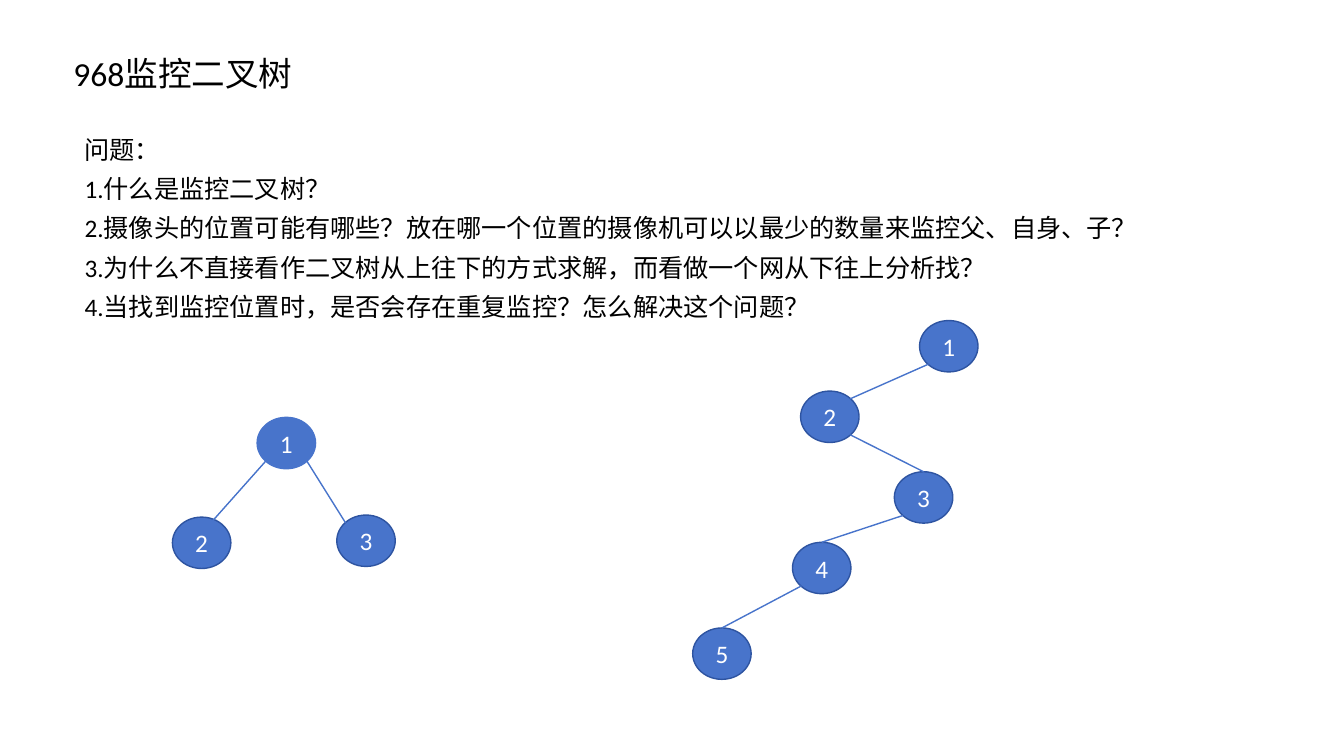
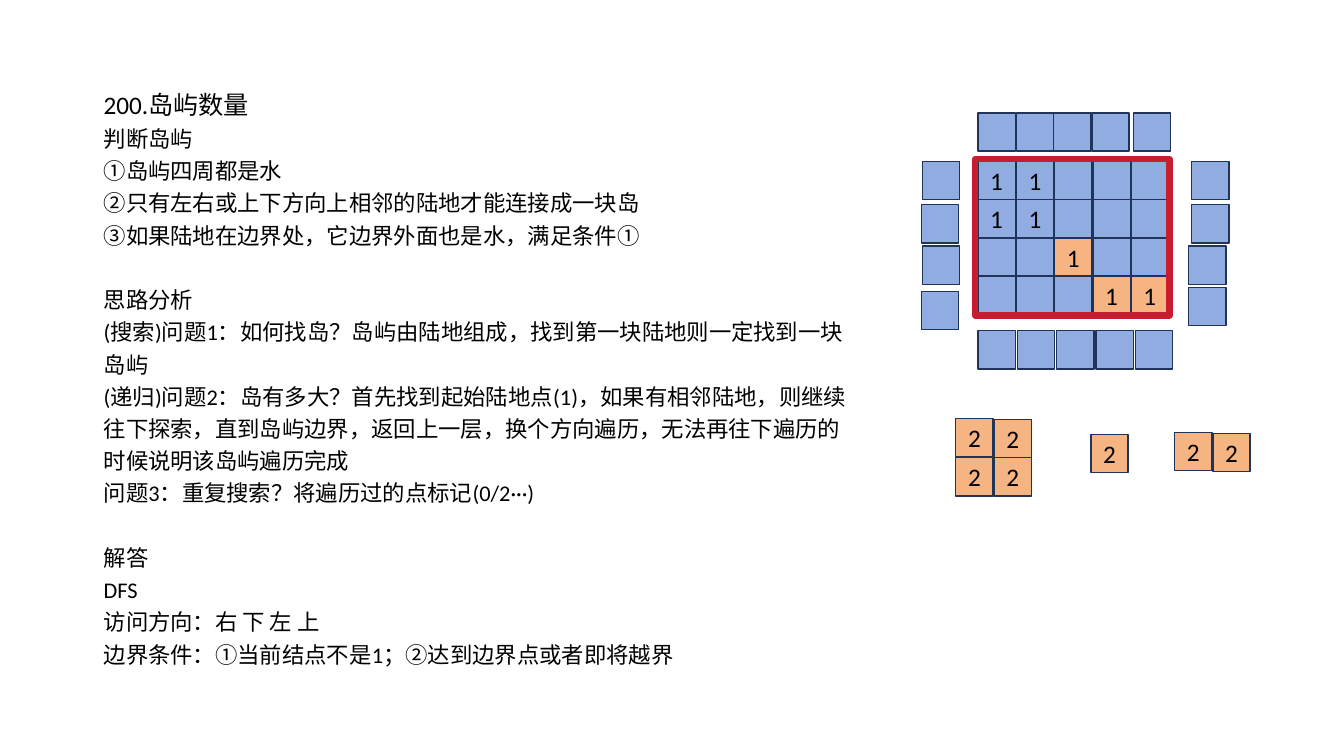
from pptx import Presentation
from pptx.dml.color import RGBColor
from pptx.enum.lang import MSO_LANGUAGE_ID as Language
from pptx.enum.shapes import MSO_CONNECTOR as Connector, MSO_SHAPE as Shape
from pptx.enum.text import MSO_ANCHOR as Anchor, MSO_AUTO_SIZE as AutoSize, PP_ALIGN as Align
from pptx.oxml.ns import qn
from pptx.util import Inches, Pt

BLACK, WHITE = "000000", "FFFFFF"
NODE_FILL, NODE_LINE = "4874CB", "2E54A1"
WATER, LAND, CELL_LINE, FRAME = "91ACE0", "F5B482", "203359", "C81D31"

NODE_WIDTH, NODE_HEIGHT = 0.58, 0.51
CELL_WIDTH, CELL_HEIGHT = 0.37, 0.38

# Anchor points as fractions of a node's box
TOP, TOP_LEFT, TOP_RIGHT = (0.5, 0), (0.15, 0.15), (0.85, 0.15)
BOTTOM_LEFT, BOTTOM_RIGHT = (0.15, 0.85), (0.85, 0.85)
INNER_TOP = (0.55, 0.25)

QUESTIONS = [
    "问题：",
    "1.什么是监控二叉树？",
    "2.摄像头的位置可能有哪些？放在哪一个位置的摄像机可以以最少的数量来监控父、自身、子？",
    "3.为什么不直接看作二叉树从上往下的方式求解，而看做一个网从下往上分析找？",
    "4.当找到监控位置时，是否会存在重复监控？怎么解决这个问题？",
]
ISLAND_NOTES = [
    [
        "200.岛屿数量",
        "判断岛屿",
        "①岛屿四周都是水",
        "②只有左右或上下方向上相邻的陆地才能连接成一块岛",
        "③如果陆地在边界处，它边界外面也是水，满足条件①",
    ],
    [
        "思路分析",
        "(搜索)问题1：如何找岛？岛屿由陆地组成，找到第一块陆地则一定找到一块岛屿",
        "(递归)问题2：岛有多大？首先找到起始陆地点(1)，如果有相邻陆地，则继续往下探索，"
        "直到岛屿边界，返回上一层，换个方向遍历，无法再往下遍历的时候说明该岛屿遍历完成",
        "问题3：重复搜索？将遍历过的点标记(0/2···)",
    ],
    [
        "解答",
        "DFS",
        "访问方向：右 下 左 上",
        "边界条件：①当前结点不是1；②达到边界点或者即将越界",
    ],
]

# Tree nodes: label -> left, top; edges: parent, anchor, child, anchor
SMALL_TREE = {"1": (2.55, 4.14), "2": (1.71, 5.13), "3": (3.34, 5.11)}
SMALL_EDGES = [("1", BOTTOM_LEFT, "2", INNER_TOP), ("1", BOTTOM_RIGHT, "3", TOP_LEFT)]
TALL_TREE = {"1": (9.12, 3.18), "2": (7.94, 3.88), "3": (8.87, 4.68),
             "4": (7.86, 5.38), "5": (6.87, 6.23)}
TALL_EDGES = [("1", BOTTOM_LEFT, "2", TOP_RIGHT), ("2", BOTTOM_RIGHT, "3", TOP),
              ("3", BOTTOM_LEFT, "4", TOP), ("4", BOTTOM_LEFT, "5", TOP)]

GRID_LEFT, GRID_TOP, COLUMN_STEP, ROW_STEP = 9.7, 1.6, 0.38, 0.38
GRID_LABELS = ["11   ", "11   ", "  1  ", "   11"]
LAND_CELLS = {(2, 2), (3, 3), (3, 4)}
BORDER_WATER = (
    [(left, 1.12) for left in (9.7, 10.08, 10.45, 10.83, 11.24)]
    + [(9.7 + 0.39 * column, 3.28) for column in range(5)]
    + [(9.15, 1.6), (9.14, 2.03), (9.15, 2.44), (9.14, 2.89)]
    + [(11.82, 1.6), (11.82, 2.03), (11.79, 2.44), (11.79, 2.85)]
)
VISITED_LAND = [(9.48, 4.15), (9.86, 4.16), (9.48, 4.54), (9.86, 4.54),
                (10.82, 4.31), (11.65, 4.29), (12.03, 4.3)]


def color(value):
    return RGBColor.from_string(value)


def write(paragraph, text, size, text_color, **layout):
    run = paragraph.add_run()
    run.text = text
    font_format = {"name": "Calibri", "size": Pt(size),
                   "language_id": Language.SIMPLIFIED_CHINESE}
    for name, value in font_format.items():
        setattr(run.font, name, value)
    run.font.color.rgb = color(text_color)
    for name, value in layout.items():
        setattr(paragraph, name, value)


def add_text(slide, box, lines):
    """Add a text box; each line is a text, a size and its paragraph layout."""
    frame = slide.shapes.add_textbox(*map(Inches, box)).text_frame
    frame.word_wrap = True
    frame.auto_size = AutoSize.SHAPE_TO_FIT_TEXT
    for index, (text, size, layout) in enumerate(lines):
        paragraph = frame.add_paragraph() if index else frame.paragraphs[0]
        write(paragraph, text, size, BLACK, **layout)


def add_box(slide, kind, box, fill, line, label="", text_color=BLACK, line_width=1):
    shape = slide.shapes.add_shape(kind, *map(Inches, box))
    shape.shadow.inherit = False
    if fill:
        shape.fill.solid()
        shape.fill.fore_color.rgb = color(fill)
    else:
        shape.fill.background()
    shape.line.color.rgb = color(line)
    shape.line.width = Pt(line_width)
    if label:
        shape.text_frame.vertical_anchor = Anchor.MIDDLE
        write(shape.text_frame.paragraphs[0], label, 18, text_color, alignment=Align.CENTER)
    return shape


def anchor_point(shape, anchor):
    return (round(shape.left + anchor[0] * shape.width),
            round(shape.top + anchor[1] * shape.height))


def add_edge(slide, parent, start, child, end):
    edge = slide.shapes.add_connector(
        Connector.STRAIGHT, *anchor_point(parent, start), *anchor_point(child, end))
    if end == TOP:
        edge.end_connect(child, 0)
    edge.line.color.rgb = color(NODE_FILL)
    edge.line.width = Pt(1)
    properties = edge._element.spPr
    properties.append(properties.makeelement(qn("a:effectLst"), {}))


def add_tree(slide, positions, edges, root_line=NODE_LINE):
    nodes = {
        label: add_box(slide, Shape.OVAL, (*position, NODE_WIDTH, NODE_HEIGHT), NODE_FILL,
                       root_line if label == "1" else NODE_LINE, label, WHITE)
        for label, position in positions.items()
    }
    for parent, start, child, end in edges:
        add_edge(slide, nodes[parent], start, nodes[child], end)


def add_cell(slide, left, top, fill, label=""):
    add_box(slide, Shape.RECTANGLE, (left, top, CELL_WIDTH, CELL_HEIGHT), fill, CELL_LINE, label)


def add_map(slide):
    """Add the island grid with its frame and the water around it."""
    for row, labels in enumerate(GRID_LABELS):
        for column, label in enumerate(labels):
            fill = LAND if (row, column) in LAND_CELLS else WATER
            add_cell(slide, GRID_LEFT + column * COLUMN_STEP, GRID_TOP + row * ROW_STEP,
                     fill, label.strip())
    for left, top in BORDER_WATER:
        add_cell(slide, left, top, WATER)
    add_box(slide, Shape.RECTANGLE, (9.67, 1.58, 1.93, 1.55), None, FRAME, line_width=4.5)


def build_tree_slide(slide):
    add_text(slide, (0.63, 0.48, 5.29, 0.5), [("968监控二叉树", 24, {})])
    add_text(slide, (0.74, 1.19, 11.32, 2.07),
             [(text, 18, {"line_spacing": 1.3}) for text in QUESTIONS])
    add_tree(slide, SMALL_TREE, SMALL_EDGES, root_line=NODE_FILL)
    add_tree(slide, TALL_TREE, TALL_EDGES)


def build_island_slide(slide):
    lines = []
    for section, texts in enumerate(ISLAND_NOTES):
        for index, text in enumerate(texts):
            gap = Pt(23) if section and index == 0 else Pt(0)
            lines.append((text, 16 if lines else 18,
                          {"line_spacing": 1.2, "space_before": gap}))
    add_text(slide, (0.93, 0.78, 7.65, 5.93), lines)
    add_map(slide)
    for left, top in VISITED_LAND:
        add_cell(slide, left, top, LAND, "2")


def main():
    presentation = Presentation()
    presentation.slide_width, presentation.slide_height = Inches(13.33), Inches(7.5)
    for build in (build_tree_slide, build_island_slide):
        build(presentation.slides.add_slide(presentation.slide_layouts[6]))
    presentation.save("out.pptx")


if __name__ == "__main__":
    main()
